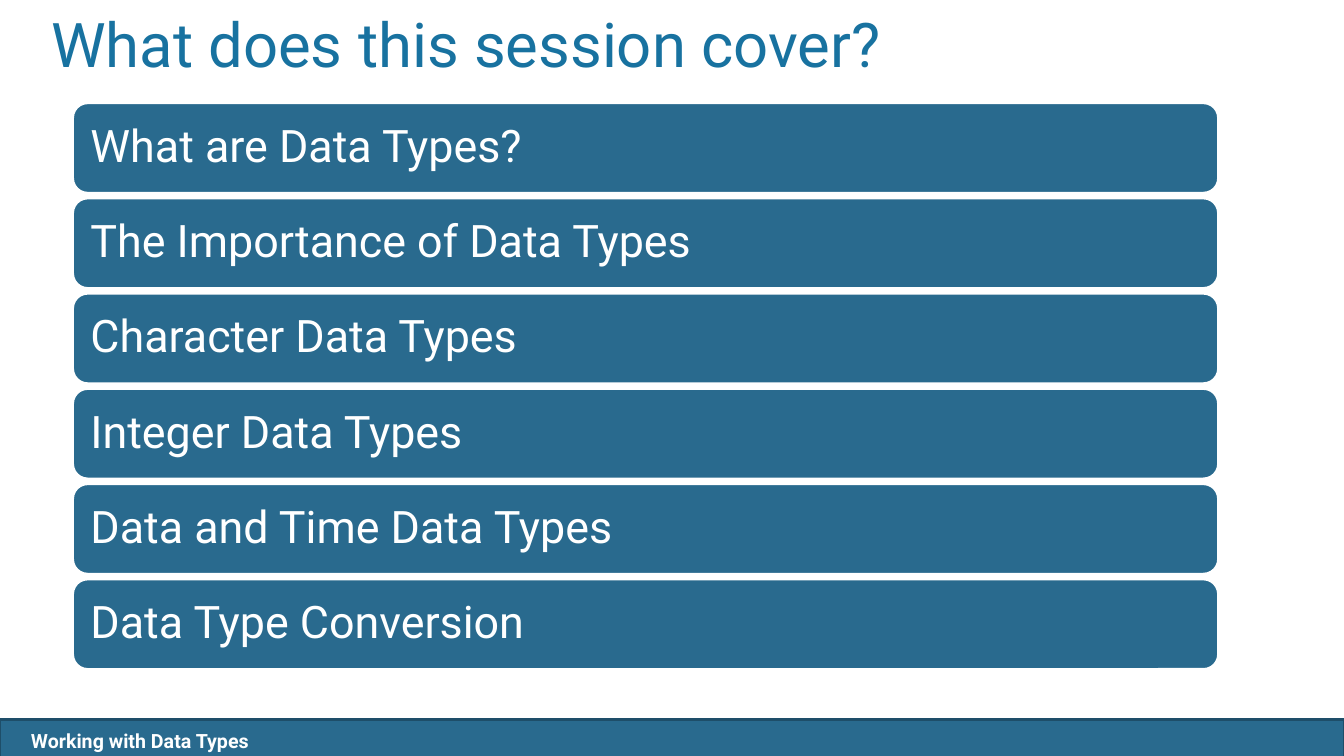
from pptx import Presentation
from pptx.dml.color import RGBColor as Rgb
from pptx.enum.shapes import MSO_SHAPE as Kind
from pptx.enum.text import MSO_ANCHOR as Anchor, PP_ALIGN as Align
from pptx.util import Cm, Pt

FONT = "Roboto"
HUES = {"bar": "296A8E", "edge": "1E4E69", "title": "1872A0", "white": "FFFFFF"}
TOPICS = [
    "What are Data Types?",
    "The Importance of Data Types",
    "Character Data Types",
    "Integer Data Types",
    "Data and Time Data Types",
    "Data Type Conversion",
]


def hue(name):
    """Return the named colour."""
    return Rgb.from_string(HUES[name])


def write(shape, text, size, color, bold=False, space=None):
    """Set one left-aligned paragraph in a shape."""
    frame = shape.text_frame
    frame.word_wrap = True
    frame.text = text
    para = frame.paragraphs[0]
    para.alignment = Align.LEFT
    para.line_spacing = space
    font = para.runs[0].font
    font.name, font.size, font.bold = FONT, Pt(size), bold
    font.color.rgb = hue(color)


def panel(slide, kind, box, edge):
    """Add a filled shape with a coloured edge."""
    shape = slide.shapes.add_shape(kind, *map(Cm, box))
    shape.shadow.inherit = False
    shape.fill.solid()
    shape.fill.fore_color.rgb = hue("bar")
    shape.line.color.rgb = hue(edge)
    shape.line.width = Pt(2)
    return shape


def footer(slide, box, text):
    """Draw the bottom band and its label."""
    x, y, _, h = box
    panel(slide, Kind.RECTANGLE, box, "edge")
    label = slide.shapes.add_textbox(Cm(x + 0.53), Cm(y + 0.1), Cm(15.4), Cm(h - 0.15))
    write(label, text, 14, "white", bold=True)


def title(slide, box, text):
    """Place the slide title."""
    label = slide.shapes.add_textbox(*map(Cm, box))
    write(label, text, 44, "title", space=Pt(35))


def agenda(slide, box, topics, gap):
    """Stack one rounded bar per topic, evenly within the box."""
    x, y, w, h = box
    tall = (h - gap * (len(topics) - 1)) / len(topics)
    for i, topic in enumerate(topics):
        spot = (x, y + i * (tall + gap), w, tall)
        bar = panel(slide, Kind.ROUNDED_RECTANGLE, spot, "white")
        frame = bar.text_frame
        frame.vertical_anchor = Anchor.MIDDLE
        frame.margin_left = frame.margin_right = Cm(0.34)
        frame.margin_top = frame.margin_bottom = Cm(0.34)
        write(bar, topic, 32, "white", space=0.9)


def main():
    """Build and save the slide."""
    deck = Presentation()
    deck.slide_width, deck.slide_height = Cm(33.87), Cm(19.05)
    slide = deck.slides.add_slide(deck.slide_layouts[6])
    footer(slide, (0, 18.14, 33.87, 1.02), "Working with Data Types")
    title(slide, (1.04, 0.66, 30.48, 3.18), "What does this session cover?")
    agenda(slide, (1.83, 2.59, 28.88, 14.28), TOPICS, 0.12)
    deck.save("out.pptx")


if __name__ == "__main__":
    main()
